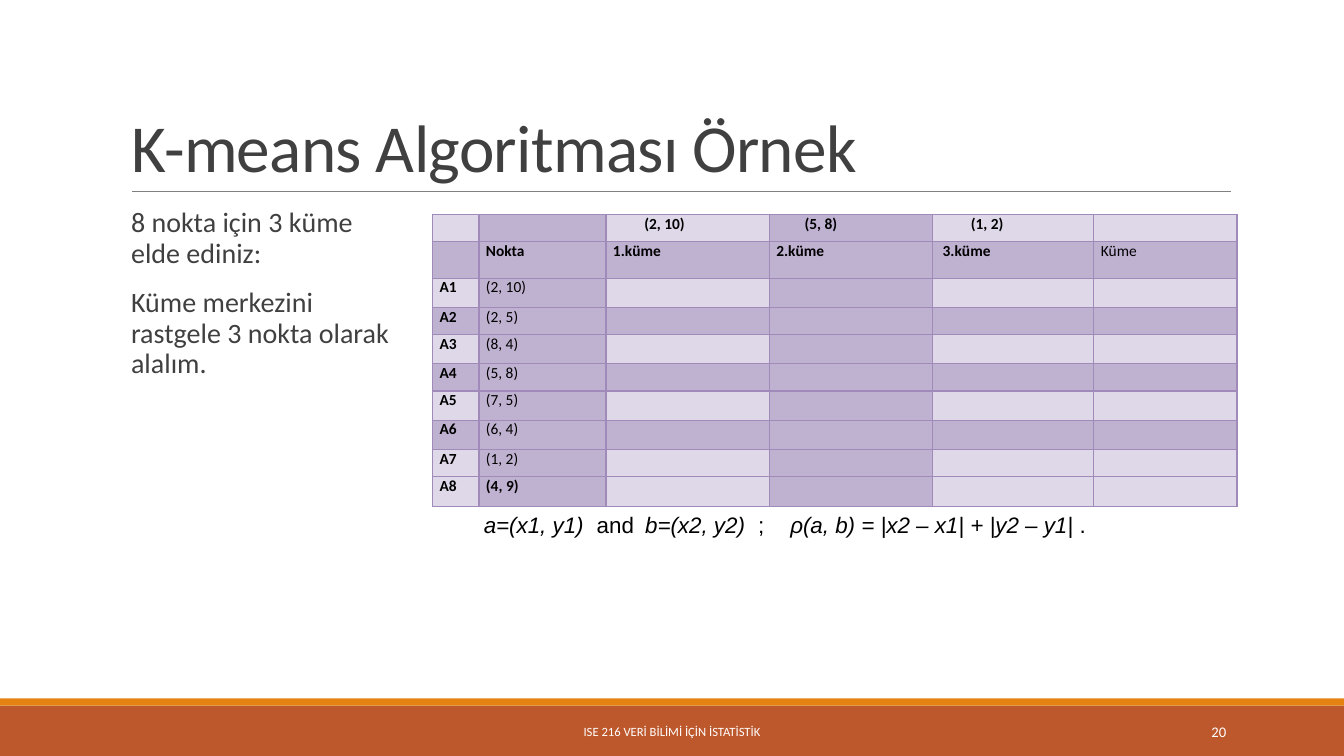
"""Build the K-means example slide with its table of points and clusters."""
from lxml.etree import SubElement as Sub
from pptx import Presentation
from pptx.dml.color import RGBColor as RGB
from pptx.enum.shapes import MSO_CONNECTOR as Conn, MSO_SHAPE as Kind
from pptx.enum.text import MSO_ANCHOR as Anchor, MSO_AUTO_SIZE as Auto, PP_ALIGN as Align
from pptx.oxml.ns import qn
from pptx.util import Pt

PX = 9144
RUST = RGB(0xBD, 0x58, 0x2C)
AMBER = RGB(0xE4, 0x83, 0x12)
GRAY = RGB(0x80, 0x80, 0x80)
INK = RGB(0x40, 0x40, 0x40)
BLACK = RGB(0, 0, 0)
WHITE = RGB(0xFF, 0xFF, 0xFF)
LIGHT = RGB(0xDF, 0xD8, 0xE8)
DARK = RGB(0xBF, 0xB1, 0xD0)
EDGE = RGB(0x9F, 0x8A, 0xB9)


def px(*nums):
    return [n * PX for n in nums]


def paint(node, color):
    fill = Sub(node, qn("a:solidFill"))
    Sub(fill, qn("a:srgbClr"), val=str(color))


class Page:
    font = "Calibri"

    def __init__(self, slide):
        self.slide = slide
        self.shapes = slide.shapes

    def style(self, run, size, color, bold=False, italic=False, font=None):
        face = run.font
        face.name, face.size = font or self.font, Pt(size)
        face.bold, face.italic = bold, italic
        face.color.rgb = color

    def place(self, shape, box):
        shape.left, shape.top, shape.width, shape.height = px(*box)

    def bar(self, box, color):
        shape = self.shapes.add_shape(Kind.RECTANGLE, *px(*box))
        shape.shadow.inherit = False
        shape.fill.solid()
        shape.fill.fore_color.rgb = color
        shape.line.fill.background()

    def rule(self, ends, color):
        line = self.shapes.add_connector(Conn.STRAIGHT, *px(*ends))
        line.line.color.rgb = color
        line.line.width = Pt(0.5)
        Sub(line._element.spPr, qn("a:effectLst"))

    def title(self, text, box):
        shape = self.shapes.title
        self.place(shape, box)
        frame = shape.text_frame
        frame.text = text
        frame.auto_size = Auto.NONE
        frame.vertical_anchor = Anchor.BOTTOM
        para = frame.paragraphs[0]
        para.alignment = Align.LEFT
        para.line_spacing = 0.85
        run = para.runs[0]
        self.style(run, 48, INK)
        run._r.get_or_add_rPr().set("spc", "-50")

    def body(self, items, box):
        shape = self.slide.placeholders[1]
        self.place(shape, box)
        frame = shape.text_frame
        frame.text = "\n".join(items)
        frame.auto_size = Auto.NONE
        frame.margin_left = frame.margin_right = 0
        for para in frame.paragraphs:
            para.line_spacing = 0.9
            para.space_before, para.space_after = Pt(12), Pt(2)
            props = para._p.get_or_add_pPr()
            props.set("marL", str(10 * PX))
            props.set("indent", str(-10 * PX))
            tint = Sub(props, qn("a:buClr"))
            Sub(tint, qn("a:srgbClr"), val=str(AMBER))
            Sub(props, qn("a:buChar"), char=" ")
            self.style(para.runs[0], 20, INK)

    def label(self, box, text="", size=9, align=Align.LEFT):
        shape = self.shapes.add_textbox(*px(*box))
        frame = shape.text_frame
        frame.word_wrap = True
        frame.vertical_anchor = Anchor.MIDDLE
        frame.text = text
        para = frame.paragraphs[0]
        para.alignment = align
        for run in para.runs:
            self.style(run, size, WHITE)
        return frame

    def formula(self, box, parts, stops):
        frame = self.label(box)
        frame.auto_size = Auto.SHAPE_TO_FIT_TEXT
        para = frame.paragraphs[0]
        for i, part in enumerate(parts):
            run = para.add_run()
            run.text = part
            self.style(run, 16, BLACK, italic=i % 2 == 0, font="Arial")
        tabs = Sub(para._p.get_or_add_pPr(), qn("a:tabLst"))
        for stop in stops:
            Sub(tabs, qn("a:tab"), pos=str(stop * PX), algn="l")

    def cell(self, cell, text, color, bold, inset):
        cell.margin_left, cell.margin_right = px(inset, 7)
        cell.margin_top = cell.margin_bottom = 0
        cell.text = text
        para = cell.text_frame.paragraphs[0]
        for run in para.runs:
            self.style(run, 11, BLACK, bold)
        if not text:
            Sub(para._p, qn("a:endParaRPr"), sz="1100")
        props = cell._tc.get_or_add_tcPr()
        for side in ("lnL", "lnR", "lnT", "lnB"):
            paint(Sub(props, qn("a:" + side), w=str(Pt(1))), EDGE)
        cell.fill.solid()
        cell.fill.fore_color.rgb = color

    def table(self, box, cols, rows, data, insets):
        table = self.shapes.add_table(len(rows), len(cols), *px(*box)).table
        table.first_row = table.horz_banding = False
        for col, width in zip(table.columns, cols):
            col.width = width * PX
        for row, height in zip(table.rows, rows):
            row.height = height * PX
        last = len(rows) - 1
        for r, line in enumerate(data):
            for c, text in enumerate(line):
                dark = c in (1, 3) or (r % 2 == 1 and r < last)
                bold = c == 0 or r == last or (r < 2 and c < 5)
                self.cell(table.cell(r, c), text, DARK if dark else LIGHT,
                          bold, insets.get((r, c), 7))


def main():
    deck = Presentation()
    deck.slide_width, deck.slide_height = px(1333, 750)
    page = Page(deck.slides.add_slide(deck.slide_layouts[1]))
    page.bar((0, 700, 1333, 50), RUST)
    page.bar((0, 693, 1333, 7), AMBER)
    page.rule((131, 190, 1221, 190), GRAY)
    page.title("K-means Algoritması Örnek", (120, 31, 1100, 159))
    page.body(["8 nokta için 3 küme elde ediniz:",
               "Küme merkezini rastgele 3 nokta olarak alalım."],
              (120, 202, 271, 358))
    page.label((403, 706, 527, 40), "ISE 216 VERİ BİLİMİ İÇİN İSTATİSTİK", 9, Align.CENTER)
    page.label((1083, 706, 143, 40), "20", 10.5, Align.RIGHT)

    points = ["(2, 10)", "(2, 5)", "(8, 4)", "(5, 8)",
              "(7, 5)", "(6, 4)", "(1, 2)", "(4, 9)"]
    data = [["", "", "(2, 10)", "(5, 8)", "(1, 2)", ""],
            ["", "Nokta", "1.küme", "2.küme", "3.küme", "Küme"]]
    data += [[f"A{i}", point] + [""] * 4 for i, point in enumerate(points, 1)]
    page.table((429, 213, 797, 289), (46, 126, 162, 162, 160, 142),
               (27, 36, 29, 27, 29, 27, 29, 29, 27, 30), data,
               {(0, 2): 38, (0, 3): 35, (0, 4): 38, (1, 4): 10})
    page.formula((470, 502, 786, 37),
                 ["a=(x1, y1)", "\tand\t", "b=(x2, y2)", "\t;\t",
                  "ρ(a, b) = |x2 – x1| + |y2 – y1|", " ."],
                 (112, 160, 272, 304))
    deck.save("out.pptx")


if __name__ == "__main__":
    main()
